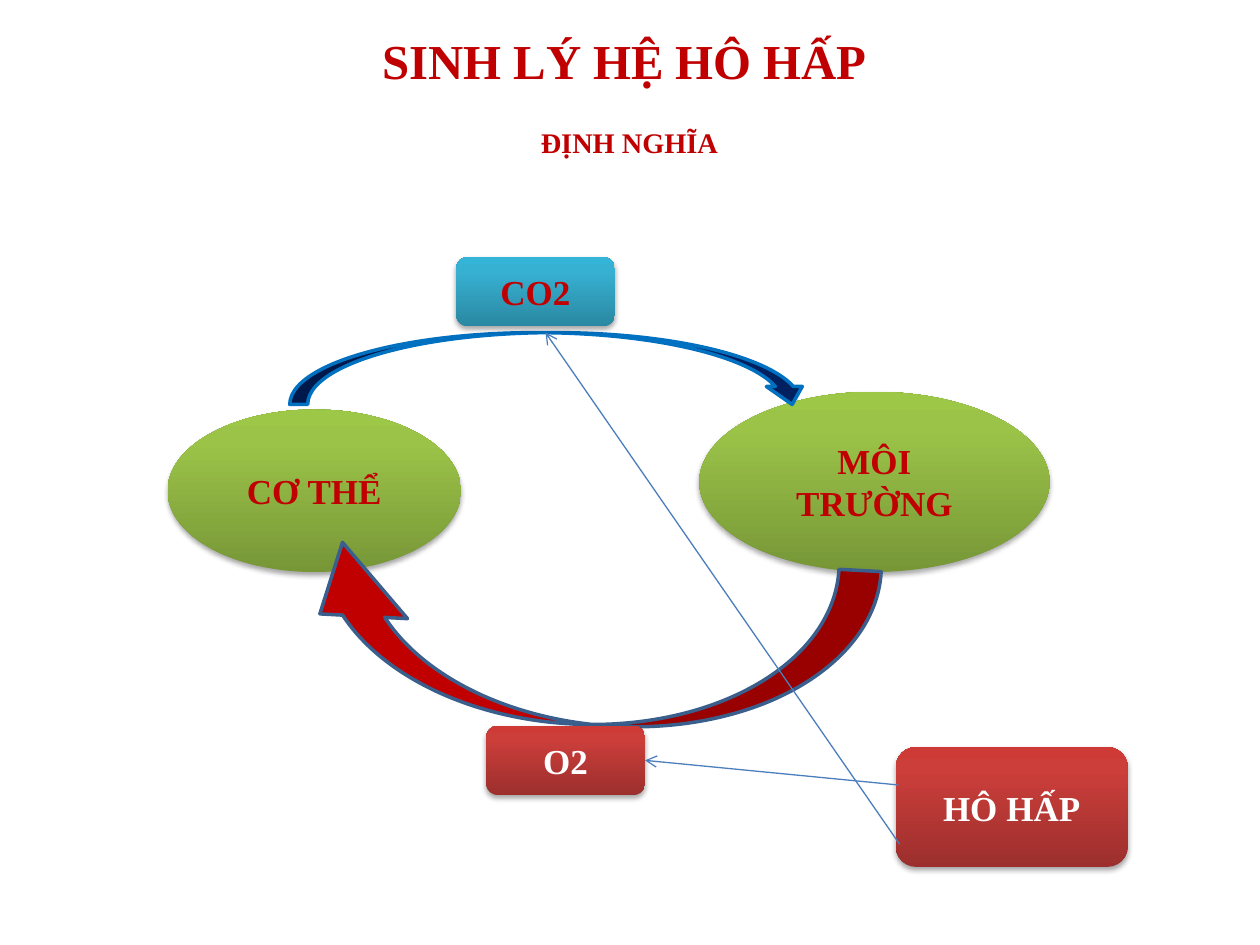
from lxml.etree import SubElement
from pptx import Presentation
from pptx.dml.color import RGBColor
from pptx.enum.shapes import MSO_CONNECTOR, MSO_SHAPE
from pptx.enum.text import MSO_ANCHOR, MSO_AUTO_SIZE, PP_ALIGN
from pptx.oxml.ns import qn
from pptx.util import Inches, Pt

COLS, ROWS = 100, 75
FONT = "Times New Roman"
COLORS = {
    "red": "C00000",
    "white": "FFFFFF",
    "navy": "002060",
    "blue": "0070C0",
    "outline": "3A5F8C",
    "link": "4B7EBC",
    "shadow": "000000",
}
GRADIENTS = {
    "green": ("779737", "9BC348", "9DC746"),
    "aqua": ("2A88A2", "37B1D2", "34B4D6"),
    "brick": ("9C2F2D", "CB3E3A", "CE3B37"),
}
STOPS = (0, 80, 100)


def rgb(name):
    return RGBColor.from_string(COLORS[name])


def grid(prs, *cells):
    units = (prs.slide_width / COLS, prs.slide_height / ROWS)
    return [int(cell * units[i % 2]) for i, cell in enumerate(cells)]


def add_text(p, text, size, color):
    p.alignment = PP_ALIGN.CENTER
    r = p.add_run()
    r.text = text
    r.font.name = FONT
    r.font.size = Pt(size)
    r.font.bold = True
    r.font.color.rgb = rgb(color)


def set_title(prs, s, heading, subheading):
    sp = s.shapes.title
    sp.left, sp.top, sp.width, sp.height = grid(prs, 4.2, 2.9, 91.5, 8.5)
    tf = sp.text_frame
    tf.word_wrap = True
    tf.auto_size = MSO_AUTO_SIZE.NONE
    tf.vertical_anchor = MSO_ANCHOR.MIDDLE
    tf.margin_top = Inches(0.13)
    add_text(tf.paragraphs[0], heading, 27.9, "red")
    p = tf.add_paragraph()
    p.space_before = Pt(20.5)
    add_text(p, subheading, 16.2, "red")


def set_gradient(sp, name):
    sp.fill.gradient()
    sp.fill.gradient_angle = 90
    stops = sp._element.spPr.find(qn("a:gradFill")).find(qn("a:gsLst"))
    for stop in list(stops):
        stops.remove(stop)
    for pos, color in zip(STOPS, GRADIENTS[name]):
        stop = SubElement(stops, qn("a:gs"), pos=str(pos * 1000))
        SubElement(stop, qn("a:srgbClr"), val=color)


def set_shadow(sp):
    sp.shadow.inherit = False
    effects = sp._element.spPr.find(qn("a:effectLst"))
    shadow = SubElement(effects, qn("a:outerShdw"), blurRad=str(Pt(3.1)),
                        dist=str(Pt(1.8)), dir="5400000", rotWithShape="0")
    color = SubElement(shadow, qn("a:srgbClr"), val=COLORS["shadow"])
    SubElement(color, qn("a:alpha"), val="35000")


def add_node(prs, s, shape, cells, text, gradient, color):
    sp = s.shapes.add_shape(shape, *grid(prs, *cells))
    set_gradient(sp, gradient)
    sp.line.fill.background()
    set_shadow(sp)
    tf = sp.text_frame
    tf.word_wrap = True
    tf.vertical_anchor = MSO_ANCHOR.MIDDLE
    add_text(tf.paragraphs[0], text, 20, color)
    return sp


def add_curved_arrow(prs, s, shape, cells, fill, line):
    sp = s.shapes.add_shape(shape, *grid(prs, *cells))
    sp.shadow.inherit = False
    sp.fill.solid()
    sp.fill.fore_color.rgb = rgb(fill)
    sp.line.color.rgb = rgb(line)
    sp.line.width = Pt(2)
    return sp


def add_link(prs, s, cells):
    cxn = s.shapes.add_connector(MSO_CONNECTOR.STRAIGHT, *grid(prs, *cells))
    cxn.line.color.rgb = rgb("link")
    cxn.line.width = Pt(0.75)
    SubElement(cxn.line._get_or_add_ln(), qn("a:tailEnd"), type="arrow")
    SubElement(cxn._element.spPr, qn("a:effectLst"))
    return cxn


def main():
    prs = Presentation()
    prs.slide_width, prs.slide_height = Inches(10), Inches(7.5)
    s = prs.slides.add_slide(prs.slide_layouts[5])
    set_title(prs, s, "SINH LÝ HỆ HÔ HẤP ", "ĐỊNH NGHĨA")

    oval, box = MSO_SHAPE.OVAL, MSO_SHAPE.ROUNDED_RECTANGLE
    add_node(prs, s, oval, (13.3, 32.5, 23.3, 12.9), "CƠ THỂ", "green", "red")
    add_node(prs, s, oval, (55.5, 31.1, 27.8, 14.3), "MÔI TRƯỜNG", "green", "red")

    add_curved_arrow(prs, s, MSO_SHAPE.CURVED_DOWN_ARROW,
                     (23, 26.4, 41.3, 5.7), "navy", "blue")
    oxygen_arrow = add_curved_arrow(prs, s, MSO_SHAPE.CURVED_UP_ARROW,
                                    (23.3, 44.1, 46.3, 13.4), "red", "outline")
    oxygen_arrow.rotation = 183.1
    oxygen_arrow._element.spPr.find(qn("a:xfrm")).set("flipV", "1")
    for i, value in enumerate((0.25, 0.52, 0.43)):
        oxygen_arrow.adjustments[i] = value

    add_node(prs, s, box, (36.2, 20.4, 12.6, 5.5), "CO2", "aqua", "red")
    oxygen = add_node(prs, s, box, (38.6, 57.6, 12.6, 5.5), "O2", "brick", "white")
    add_node(prs, s, box, (71.1, 59.3, 18.4, 9.5), "HÔ HẤP", "brick", "white")

    add_link(prs, s, (71.4, 67, 43.3, 26.4))
    add_link(prs, s, (71.3, 62.3, 51.2, 60.3)).end_connect(oxygen, 3)
    prs.save("out.pptx")


if __name__ == "__main__":
    main()
